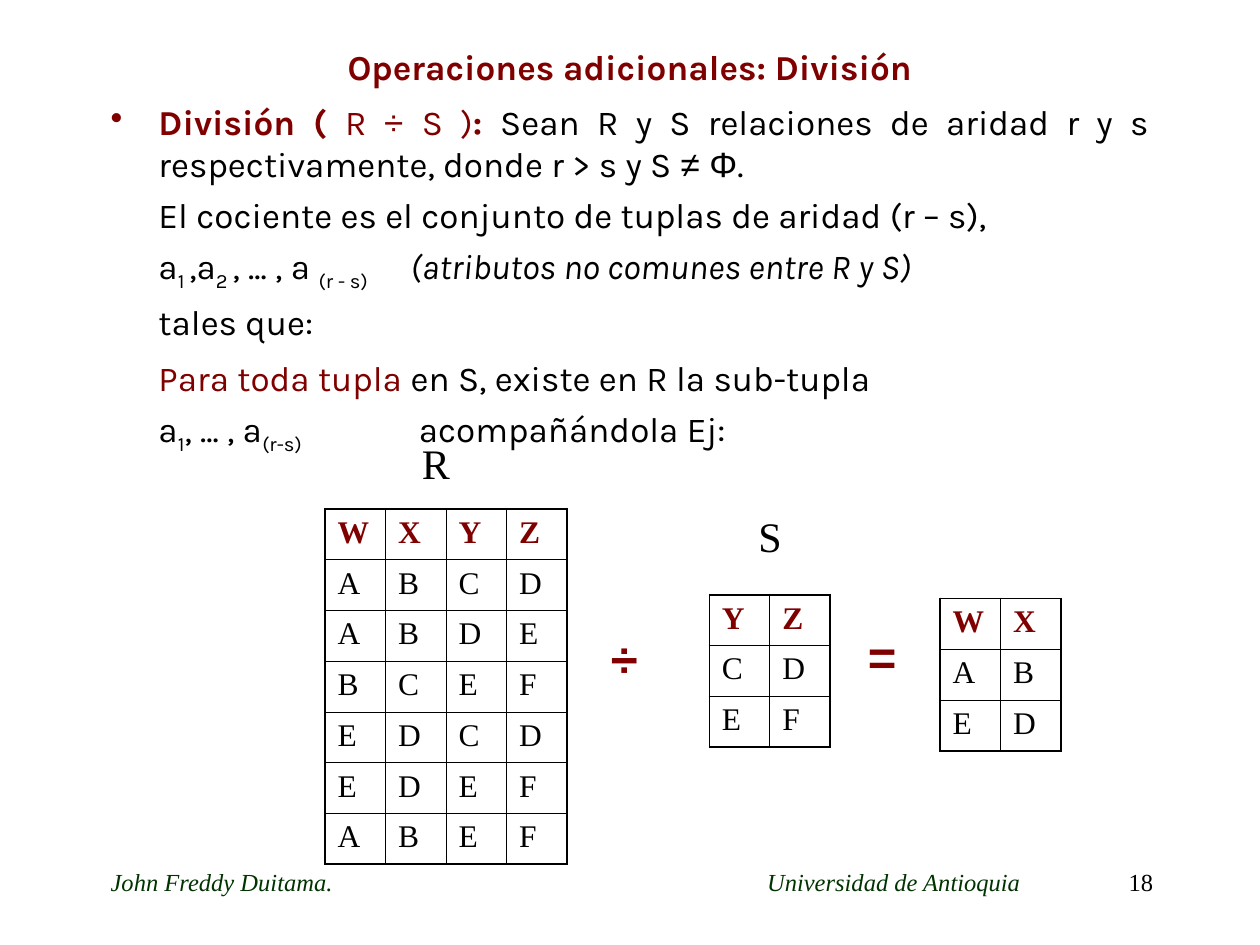
from lxml import etree
from pptx import Presentation, util as u
from pptx.dml.color import RGBColor
from pptx.enum import text
from pptx.oxml.ns import qn

RED = RGBColor(0x80, 0x00, 0x00)
GREEN = RGBColor(0x00, 0x33, 0x00)
BLACK = RGBColor(0x00, 0x00, 0x00)
SERIF, SANS, BODY = "Times New Roman", "Arial", "Karla"
LEFT, MID, RIGHT, FULL = (text.PP_ALIGN.LEFT, text.PP_ALIGN.CENTER,
                          text.PP_ALIGN.RIGHT, text.PP_ALIGN.JUSTIFY)
COLS, ROWS = 100, 75
CELL_W, CELL_H = 4.8, 4.03
THIN, THICK = 0.45, 1.08


class Deck:
    """Style and current slide; lengths are grid columns and rows."""

    def __init__(self):
        self.prs = Presentation()
        self.prs.slide_width, self.prs.slide_height = u.Inches(10), u.Inches(7.5)
        self.slide = self.prs.slides.add_slide(self.prs.slide_layouts[6])

    def place(self, x, y, w, h):
        dx, dy = self.prs.slide_width / COLS, self.prs.slide_height / ROWS
        return [u.Emu(round(n)) for n in (x * dx, y * dy, w * dx, h * dy)]

    def run(self, para, words, size, font=BODY, color=BLACK,
            bold=False, italic=False, sub=False):
        run = para.add_run()
        run.text = words
        face = run.font
        face.size, face.name, face.bold, face.italic = u.Pt(size), font, bold, italic
        face.color.rgb = color
        if sub:
            face._element.set("baseline", "-25000")

    def box(self, x, y, w, h, anchor=text.MSO_ANCHOR.TOP):
        frame = self.slide.shapes.add_textbox(*self.place(x, y, w, h)).text_frame
        frame.word_wrap = True
        frame.vertical_anchor = anchor
        return frame

    def label(self, at, words, size, font, align=LEFT, before=0, tab=None,
              anchor=text.MSO_ANCHOR.TOP, **look):
        para = self.box(*at, anchor=anchor).paragraphs[0]
        para.alignment = align
        if tab:
            self.tab(para, tab)
        para.space_before = u.Pt(before)
        self.run(para, words, size, font, **look)

    def tab(self, para, inches):
        stops = etree.SubElement(para._p.get_or_add_pPr(), qn("a:tabLst"))
        etree.SubElement(stops, qn("a:tab"), pos=str(u.Inches(inches)), algn="l")

    def bullet(self, para, color):
        props = para._p.get_or_add_pPr()
        props.set("indent", str(-u.Inches(0.38)))
        tint = etree.SubElement(props, qn("a:buClr"))
        etree.SubElement(tint, qn("a:srgbClr"), val=str(color))
        etree.SubElement(props, qn("a:buChar"), char="•")

    def body(self, at, paras, size):
        frame = self.box(*at)
        for i, (before, runs) in enumerate(paras):
            para = frame.add_paragraph() if i else frame.paragraphs[0]
            para.alignment = FULL
            para._p.get_or_add_pPr().set("marL", str(u.Inches(0.38)))
            if i == 0:
                self.bullet(para, RED)
            self.tab(para, 2)
            para.space_before = u.Pt(before)
            for words, look in runs:
                self.run(para, words, size, **look)

    def edge(self, cell, side, width):
        line = etree.SubElement(cell._tc.get_or_add_tcPr(), qn("a:ln" + side),
                                w=str(u.Pt(width)))
        fill = etree.SubElement(line, qn("a:solidFill"))
        etree.SubElement(fill, qn("a:srgbClr"), val=str(BLACK))

    def table(self, x, y, rows):
        """Draw a relation; each row is a string with one letter per column."""
        high, wide = len(rows), len(rows[0])
        at = self.place(x, y, wide * CELL_W, high * CELL_H)
        grid = self.slide.shapes.add_table(high, wide, *at).table
        grid.first_row = grid.horz_banding = False
        for r, row in enumerate(rows):
            for c, value in enumerate(row):
                cell = grid.cell(r, c)
                rims = {"L": c == 0, "R": c == wide - 1,
                        "T": r == 0, "B": r == high - 1}
                for side, outer in rims.items():
                    self.edge(cell, side, THICK if outer else THIN)
                cell.fill.background()
                para = cell.text_frame.paragraphs[0]
                para.space_before = u.Pt(4.5)
                head = r == 0
                self.run(para, value, 18, SERIF, RED if head else BLACK, bold=head)


def main():
    deck = Deck()

    # Footer
    deck.label((7.8, 68.3, 75, 5), "John Freddy Duitama.\tUniversidad de Antioquia",
               14, SERIF, tab=5.21, color=GREEN, italic=True)
    deck.label((82.5, 68.3, 10, 5), "18", 14, SERIF, RIGHT)

    # Title
    deck.label((7.8, 3.1, 84.4, 4.4), "Operaciones adicionales: División", 20, BODY,
               MID, anchor=text.MSO_ANCHOR.MIDDLE, color=RED, bold=True)

    # Definition
    plain, red, low = {}, {"color": RED}, {"sub": True}
    strong = {"color": RED, "bold": True}
    deck.body((7.8, 7.5, 84.4, 60.8), [
        (5, [("División ( ", strong), ("R ", red),
             ("÷ ", {"color": RED, "font": SANS}), ("S )", red), (": ", strong),
             ("Sean R y S relaciones de aridad r y s respectivamente, "
              "donde r > s y S ", plain),
             ("≠ Φ", {"font": SANS}), (".", plain)]),
        (5, [("El cociente es el conjunto de tuplas de aridad (r – s),", plain)]),
        (5, [("a", plain), ("1 ", low), (",a", plain), ("2 ", low),
             (", ... , a ", plain), ("(r - s) \t", low),
             ("(atributos no comunes entre R y S)", {"italic": True})]),
        (5, [("tales que:", plain)]),
        (8, [("Para toda tupla ", red),
             ("en S, existe en R la sub-tupla", plain)]),
        (5, [("a", plain), ("1", low), (", ... , a", plain), ("(r-s) \t", low),
             (" acompañándola Ej:", plain)]),
    ], 20)

    # Relations: dividend, divisor, quotient
    deck.table(25.8, 40.4, ["WXYZ", "ABCD", "ABDE", "BCEF", "EDCD", "EDEF", "ABEF"])
    deck.table(56.3, 47.2, ["YZ", "CD", "EF"])
    deck.table(74.6, 47.5, ["WX", "AB", "ED"])

    # Operators and relation names
    for x, y, sign in ((47.5, 49.4, "÷"), (67.9, 49.2, "=")):
        deck.label((x, y, 5.5, 5.7), sign, 28, SANS, color=RED, bold=True)
    for x, y, name in ((32.5, 34.2, "R"), (59.2, 40, "S")):
        deck.label((x, y, 6.7, 5), name, 24, SERIF, before=15)

    deck.prs.save("out.pptx")


if __name__ == "__main__":
    main()
